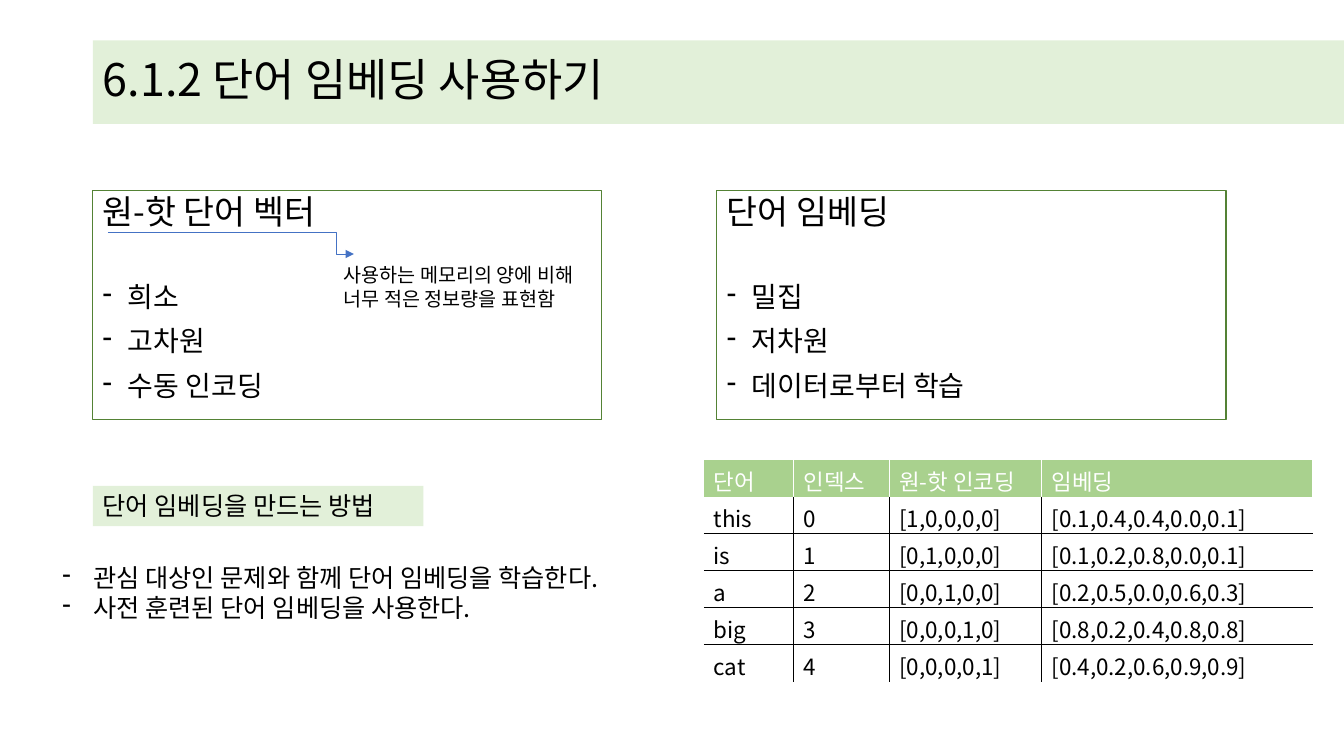
from lxml import etree
from pptx import Presentation
from pptx.dml.color import RGBColor
from pptx.enum.shapes import MSO_CONNECTOR, MSO_SHAPE
from pptx.enum.text import MSO_ANCHOR, PP_ALIGN
from pptx.oxml.ns import qn
from pptx.util import Inches, Pt

RECT, ELBOW = MSO_SHAPE.RECTANGLE, MSO_CONNECTOR.ELBOW
TOP, MIDDLE, LEFT = MSO_ANCHOR.TOP, MSO_ANCHOR.MIDDLE, PP_ALIGN.LEFT
FONT = "Noto Sans CJK KR"
COLORS = {"pale": "E2F0D9", "head": "A9D18E", "edge": "548235",
          "arrow": "4472C4", "black": "000000", "white": "FFFFFF"}
WIDTHS = [0.89, 0.95, 1.51, 2.69]
ROWS = [
    ["단어", "인덱스", "원-핫 인코딩", "임베딩"],
    ["this", "0", "[1,0,0,0,0]", "[0.1,0.4,0.4,0.0,0.1]"],
    ["is", "1", "[0,1,0,0,0]", "[0.1,0.2,0.8,0.0,0.1]"],
    ["a", "2", "[0,0,1,0,0]", "[0.2,0.5,0.0,0.6,0.3]"],
    ["big", "3", "[0,0,0,1,0]", "[0.8,0.2,0.4,0.8,0.8]"],
    ["cat", "4", "[0,0,0,0,1]", "[0.4,0.2,0.6,0.9,0.9]"],
]


def rgb(name):
    """Return a named colour."""
    return RGBColor.from_string(COLORS[name])


def node(parent, tag, **attrs):
    """Append a drawing element to its parent."""
    return etree.SubElement(parent, qn(tag), attrs)


def write(para, text, size=18, color="black", space=0, line=1.0, dash=0):
    """Fill a paragraph, with a hanging dash if dash is its indent."""
    para.alignment = LEFT
    para.line_spacing = line
    para.space_before = Pt(space)
    if dash:
        props = para._p.get_or_add_pPr()
        props.set("marL", str(Inches(dash)))
        props.set("indent", str(-Inches(dash)))
        node(props, "a:buFontTx")
        node(props, "a:buChar", char="-")
    run = para.add_run()
    run.text = text
    font = run.font
    font.size, font.name = Pt(size), FONT
    font.color.rgb = rgb(color)
    node(run._r.get_or_add_rPr(), "a:ea", typeface=FONT)


def panel(slide, box, fill=None, edge=None):
    """Add a plain rectangle and return its text frame."""
    shape = slide.shapes.add_shape(RECT, *map(Inches, box))
    shape.shadow.inherit = False
    if fill:
        shape.fill.solid()
        shape.fill.fore_color.rgb = rgb(fill)
    else:
        shape.fill.background()
    if edge:
        shape.line.color.rgb = rgb(edge)
        shape.line.width = Pt(0.75)
    else:
        shape.line.fill.background()
    frame = shape.text_frame
    frame.word_wrap, frame.vertical_anchor = True, TOP
    return frame


def note(slide, box, lines, **style):
    """Add a wrapped text box with one paragraph a line."""
    frame = slide.shapes.add_textbox(*map(Inches, box)).text_frame
    frame.word_wrap = True
    for i, text in enumerate(lines):
        para = frame.add_paragraph() if i else frame.paragraphs[0]
        write(para, text, **style)


def banner(slide, box, text):
    """Place and format the title."""
    title = slide.shapes.title
    title.left, title.top, title.width, title.height = map(Inches, box)
    title.fill.solid()
    title.fill.fore_color.rgb = rgb("pale")
    title.text_frame.vertical_anchor = MIDDLE
    write(title.text_frame.paragraphs[0], text, size=32, line=0.9)


def card(slide, box, head, items):
    """Add an outlined box with a heading and dashed items."""
    frame = panel(slide, box, edge="edge")
    write(frame.paragraphs[0], head, size=24, line=0.9)
    for i, text in enumerate(items):
        write(frame.add_paragraph(), text, size=20, line=0.9,
              space=10 if i else 37, dash=0.25)


def remark(slide, box):
    """Underline a heading and lead an arrow to its remark."""
    x, y, w, h = box
    link = slide.shapes.add_connector(
        ELBOW, *map(Inches, (x, y, x + 2.44, y + 0.21)))
    link.line.color.rgb = rgb("arrow")
    link.line.width = Pt(0.5)
    node(link.line._get_or_add_ln(), "a:tailEnd", type="triangle")
    props = link._element.spPr
    node(props, "a:effectLst")
    guides = props.find(qn("a:prstGeom")).get_or_add_avLst()
    node(guides, "a:gd", name="adj1", fmla="val 93000")
    note(slide, (x + 2.24, y + 0.25, w - 2.24, h - 0.25),
         ["사용하는 메모리의 양에 비해 너무 적은 정보량을 표현함"], size=14)


def ways(slide, box):
    """Add the list of methods under its label."""
    x, y, w, h = box
    label = panel(slide, (x + 0.4, y, 3.28, 0.4), fill="pale")
    write(label.paragraphs[0], "단어 임베딩을 만드는 방법")
    note(slide, (x, y + 0.71, w, h - 0.71),
         ["관심 대상인 문제와 함께 단어 임베딩을 학습한다.",
          "사전 훈련된 단어 임베딩을 사용한다."], dash=0.31)


def rule(cell, side, color):
    """Draw one cell border, or hide it when color is None."""
    line = node(cell._tc.get_or_add_tcPr(), "a:ln" + side, w=str(Pt(1)))
    if color:
        node(node(line, "a:solidFill"), "a:srgbClr", val=COLORS[color])
    else:
        node(line, "a:noFill")


def grid(slide, box):
    """Add the table of words and their vectors."""
    table = slide.shapes.add_table(
        len(ROWS), len(WIDTHS), *map(Inches, box)).table
    table.horz_banding = False
    for col, width in zip(table.columns, WIDTHS):
        col.width = Inches(width)
    for r, row in enumerate(ROWS):
        table.rows[r].height = Inches(box[3] / len(ROWS))
        for c, text in enumerate(row):
            cell = table.cell(r, c)
            ink = "black" if r else "white"
            rule(cell, "L", ink if c or not r else None)
            rule(cell, "R", ink if c < len(row) - 1 or not r else None)
            rule(cell, "T", None if r == 1 else ink)
            rule(cell, "B", ink if 0 < r < len(ROWS) - 1 else None)
            if r:
                cell.fill.background()
            else:
                cell.fill.solid()
                cell.fill.fore_color.rgb = rgb("head")
            write(cell.text_frame.paragraphs[0], text, size=16, color=ink)


def main():
    """Build and save the slide."""
    deck = Presentation()
    deck.slide_width, deck.slide_height = Inches(13.33), Inches(7.5)
    slide = deck.slides.add_slide(deck.slide_layouts[5])
    banner(slide, (0.92, 0.4, 12.41, 0.83), "6.1.2 단어 임베딩 사용하기")
    card(slide, (0.92, 1.89, 5.05, 2.27), "원-핫 단어 벡터",
         ["희소", "고차원", "수동 인코딩"])
    card(slide, (7.11, 1.89, 5.05, 2.27), "단어 임베딩",
         ["밀집", "저차원", "데이터로부터 학습"])
    ways(slide, (0.52, 4.82, 6.07, 1.42))
    remark(slide, (1.07, 2.31, 5.04, 0.82))
    grid(slide, (6.98, 4.56, 6.04, 2.2))
    deck.save("out.pptx")


if __name__ == "__main__":
    main()
